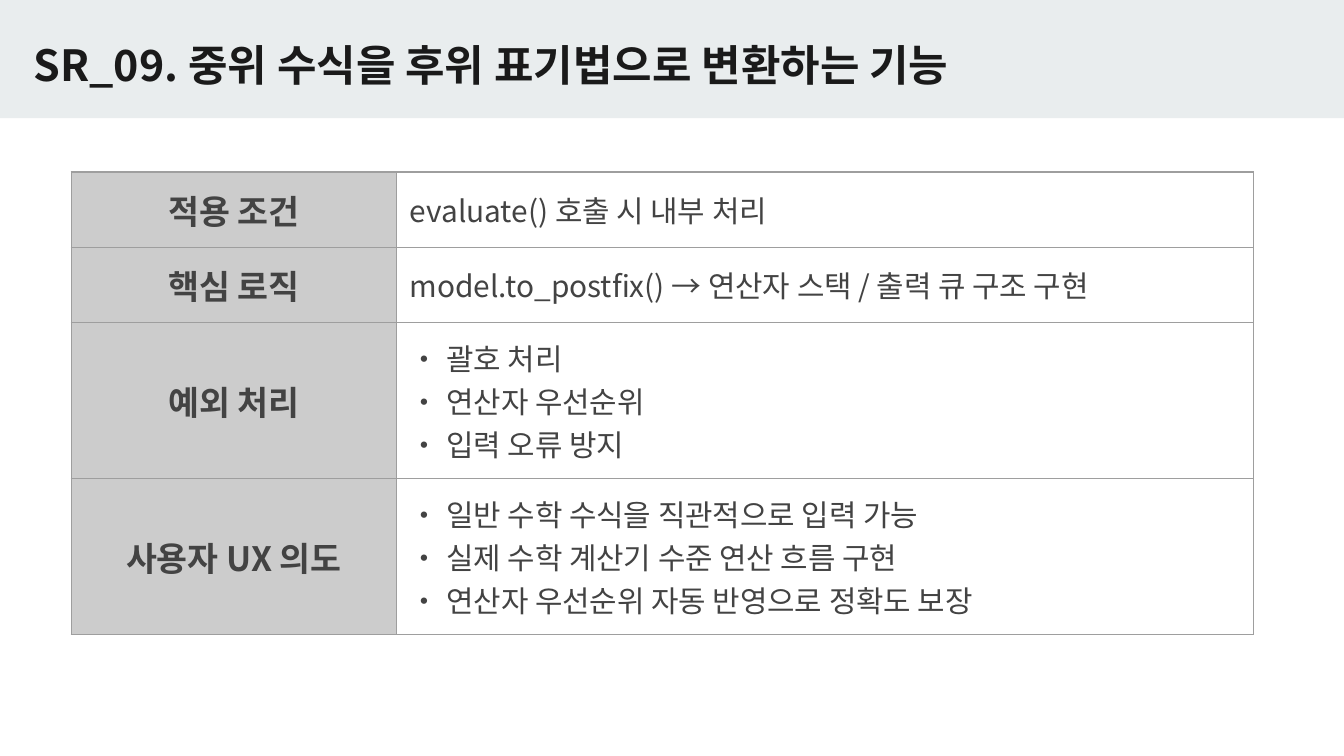
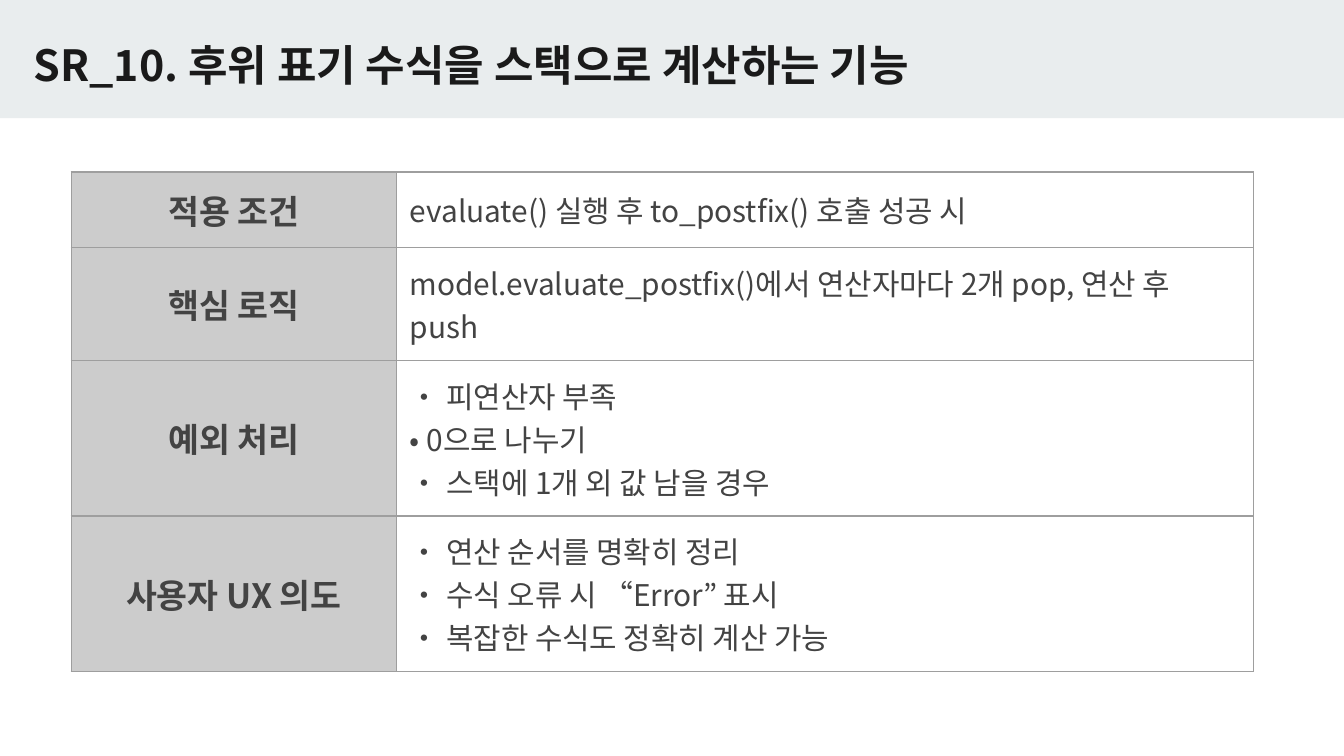
from lxml.etree import SubElement
from pptx import Presentation
from pptx.dml.color import RGBColor
from pptx.enum.shapes import MSO_SHAPE
from pptx.enum.text import MSO_ANCHOR, PP_ALIGN
from pptx.oxml.ns import qn
from pptx.util import Inches, Pt

FONT = "Noto Sans CJK KR"
BAND = RGBColor(0xE9, 0xED, 0xEE)
TITLE_INK = RGBColor(0x1A, 0x1A, 0x1A)
TABLE_INK = RGBColor(0x43, 0x43, 0x43)
LABEL_FILL = RGBColor(0xCC, 0xCC, 0xCC)
BORDER = RGBColor(0x9E, 0x9E, 0x9E)

TITLE = {"size": Pt(23), "bold": True, "name": FONT}
LABEL = {"size": Pt(18), "bold": True, "name": FONT}
DETAIL = {"size": Pt(16), "bold": False, "name": FONT}

SLIDE_WIDTH = Inches(10)
SLIDE_HEIGHT = SLIDE_WIDTH * 9 // 16
COLUMN_WIDTHS = (2.42, 6.38)
PADDING = 0.1
LINE_HEIGHT = 0.32
LEAST_ROW = 0.56
MARGINS = dict.fromkeys(
    ("margin_left", "margin_top", "margin_right", "margin_bottom"), Inches(PADDING)
)

ROW_LABELS = ("적용 조건", "핵심 로직", "예외 처리", "사용자 UX 의도")

REQUIREMENTS = (
    (
        "SR_09. 중위 수식을 후위 표기법으로 변환하는 기능",
        (1, 1, 3, 3),
        (
            ("evaluate() 호출 시 내부 처리",),
            ("model.to_postfix() → 연산자 스택 / 출력 큐 구조 구현",),
            ("• 괄호 처리", "• 연산자 우선순위", "• 입력 오류 방지"),
            (
                "• 일반 수학 수식을 직관적으로 입력 가능",
                "• 실제 수학 계산기 수준 연산 흐름 구현",
                "• 연산자 우선순위 자동 반영으로 정확도 보장",
            ),
        ),
    ),
    (
        "SR_10. 후위 표기 수식을 스택으로 계산하는 기능",
        (1, 2, 3, 3),
        (
            ("evaluate() 실행 후 to_postfix() 호출 성공 시",),
            ("model.evaluate_postfix()에서 연산자마다 2개 pop, 연산 후 push",),
            ("• 피연산자 부족", "• 0으로 나누기", "• 스택에 1개 외 값 남을 경우"),
            (
                "• 연산 순서를 명확히 정리",
                "• 수식 오류 시 “Error” 표시",
                "• 복잡한 수식도 정확히 계산 가능",
            ),
        ),
    ),
)


def set_values(target, values):
    for name, value in values.items():
        setattr(target, name, value)


def write(para, text, style, color):
    span = para.add_run()
    span.text = text
    set_values(span.font, style)
    span.font.color.rgb = color


def add_title(page, text):
    band = page.shapes.add_shape(
        MSO_SHAPE.RECTANGLE, 0, 0, SLIDE_WIDTH, Inches(0.88)
    )
    band.shadow.inherit = False
    band.fill.solid()
    band.fill.fore_color.rgb = BAND
    band.line.fill.background()
    box = page.shapes.add_textbox(
        Inches(0.15), Inches(0.18), Inches(8.41), Inches(0.59)
    )
    frame = box.text_frame
    set_values(frame, MARGINS)
    set_values(frame, {"word_wrap": True, "vertical_anchor": MSO_ANCHOR.MIDDLE})
    write(frame.paragraphs[0], text, TITLE, TITLE_INK)


def format_cell(cell):
    set_values(cell, MARGINS)
    cell.vertical_anchor = MSO_ANCHOR.MIDDLE
    properties = cell._tc.get_or_add_tcPr()
    for side in ("lnL", "lnR", "lnT", "lnB"):
        line = SubElement(properties, qn(f"a:{side}"), w=str(Pt(0.75)))
        paint = SubElement(line, qn("a:solidFill"))
        SubElement(paint, qn("a:srgbClr"), val=str(BORDER))


def fill_label(cell, text):
    format_cell(cell)
    cell.fill.solid()
    cell.fill.fore_color.rgb = LABEL_FILL
    para = cell.text_frame.paragraphs[0]
    para.alignment = PP_ALIGN.CENTER
    write(para, text, LABEL, TABLE_INK)


def fill_detail(cell, lines):
    format_cell(cell)
    cell.fill.background()
    frame = cell.text_frame
    for index, text in enumerate(lines):
        para = frame.add_paragraph() if index else frame.paragraphs[0]
        write(para, text, DETAIL, TABLE_INK)


def add_requirement_table(page, line_counts, details):
    heights = [
        max(LEAST_ROW, 2 * PADDING + LINE_HEIGHT * count) for count in line_counts
    ]
    table = page.shapes.add_table(
        len(ROW_LABELS), len(COLUMN_WIDTHS), Inches(0.53), Inches(1.28),
        Inches(sum(COLUMN_WIDTHS)), Inches(sum(heights)),
    ).table
    set_values(table, {"first_row": False, "horz_banding": False})
    for column, width in zip(table.columns, COLUMN_WIDTHS):
        column.width = Inches(width)
    for row, height, label, lines in zip(table.rows, heights, ROW_LABELS, details):
        row.height = Inches(height)
        fill_label(row.cells[0], label)
        fill_detail(row.cells[1], lines)


def main():
    deck = Presentation()
    deck.slide_width = SLIDE_WIDTH
    deck.slide_height = SLIDE_HEIGHT
    for title, line_counts, details in REQUIREMENTS:
        page = deck.slides.add_slide(deck.slide_layouts[6])
        add_title(page, title)
        add_requirement_table(page, line_counts, details)
    deck.save("out.pptx")


if __name__ == "__main__":
    main()
